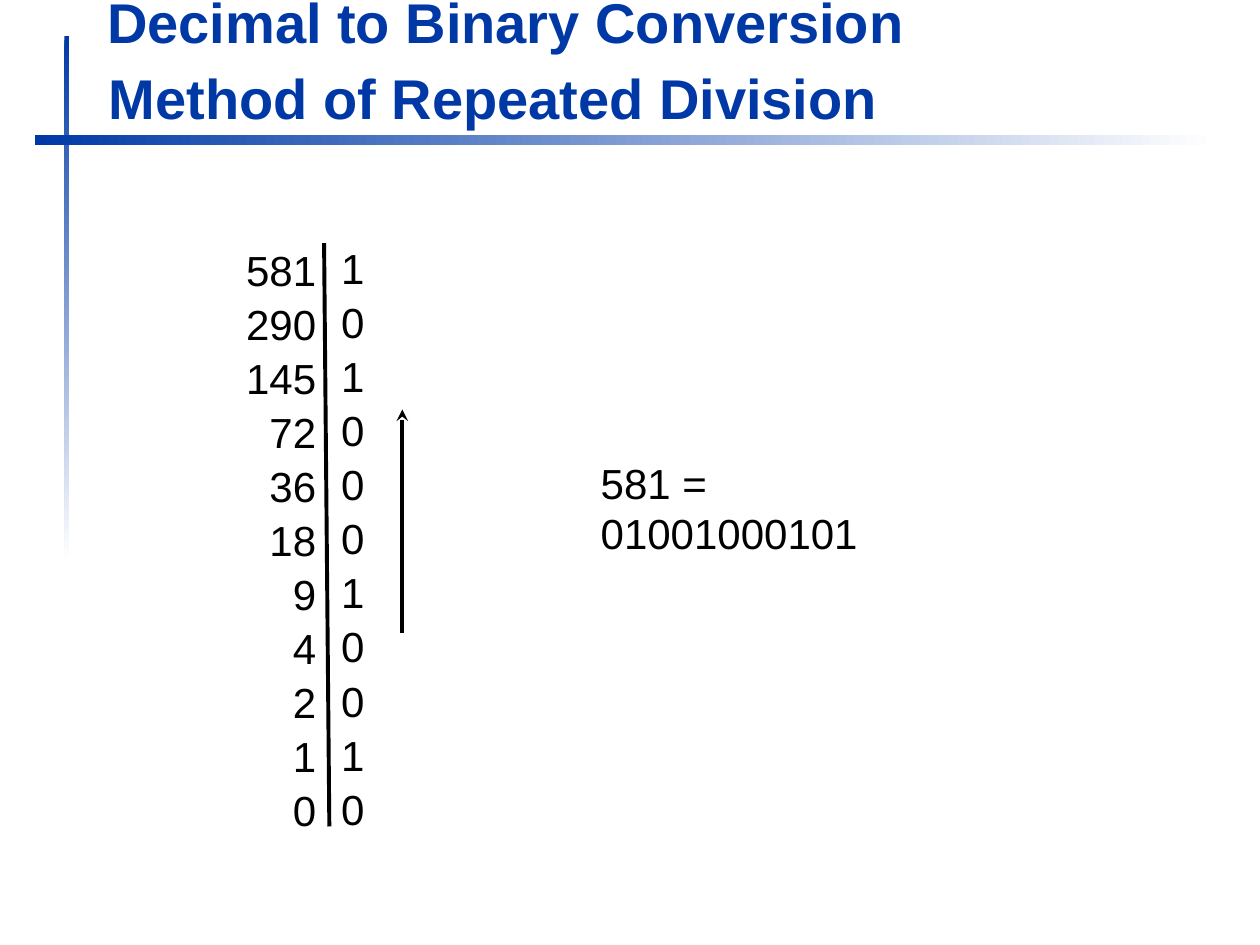
from pptx import Presentation
from pptx.dml.color import RGBColor
from pptx.enum.shapes import MSO_CONNECTOR as Conn, MSO_SHAPE as Kind
from pptx.enum.text import MSO_ANCHOR as Anchor, MSO_AUTO_SIZE as Fit, PP_ALIGN as Align
from pptx.oxml.ns import qn
from pptx.util import Pt
from lxml.etree import SubElement

BLUE = RGBColor(0x00, 0x39, 0xA6)
WHITE = RGBColor(0xFF, 0xFF, 0xFF)
BLACK = RGBColor(0x00, 0x00, 0x00)

PAD = 7.2      # side inset of a text box
DIGIT = 13.35  # width of one digit at 24 pt
TALL = 36      # height of a one-line box


def style(frame, text, size, color, bold=False, align=Align.LEFT):
    frame.text = text
    para = frame.paragraphs[0]
    para.alignment = align
    font = para.runs[0].font
    font.name, font.size, font.bold = "Arial", Pt(size), bold
    font.color.rgb = color


def add_text(slide, text, left, top, width, height=TALL, size=24, color=BLACK,
             bold=False, align=Align.LEFT, wrap=False):
    box = slide.shapes.add_textbox(Pt(left), Pt(top), Pt(width), Pt(height))
    frame = box.text_frame
    style(frame, text, size, color, bold, align)
    frame.word_wrap = wrap
    frame.auto_size = Fit.SHAPE_TO_FIT_TEXT
    return frame


def add_line(slide, x1, y1, x2, y2, arrow=False):
    line = slide.shapes.add_connector(Conn.STRAIGHT, Pt(x1), Pt(y1), Pt(x2), Pt(y2))
    line.line.color.rgb = BLACK
    line.line.width = Pt(2.25)
    if arrow:
        SubElement(line.line._get_or_add_ln(), qn("a:tailEnd"), type="stealth")
    SubElement(line._element.spPr, qn("a:effectLst"))


def add_bar(slide, left, top, width, height, angle):
    bar = slide.shapes.add_shape(Kind.RECTANGLE, Pt(left), Pt(top), Pt(width), Pt(height))
    bar.shadow.inherit = False
    bar.line.fill.background()
    bar.fill.gradient()
    bar.fill.gradient_angle = angle
    for stop, color in zip(bar.fill.gradient_stops, (BLUE, WHITE)):
        stop.color.rgb = color


def add_heading(slide, left, top, width):
    # Fading bars
    add_bar(slide, 36.8, 20.4, 2.6, 300, 270)
    add_bar(slide, 19.8, 77.2, 674.6, 5.6, 0)

    # Title, with room below it for the second line
    title = slide.shapes.title
    title.left, title.top, title.width, title.height = Pt(left), Pt(top), Pt(width), Pt(85)
    frame = title.text_frame
    style(frame, "Decimal to Binary Conversion", 32, BLUE, True)
    frame.vertical_anchor = Anchor.BOTTOM
    frame.margin_bottom = Pt(40.2)
    frame.auto_size = Fit.NONE

    # Second line
    frame = add_text(slide, "Method of Repeated Division", left + 1, top + 46, width, 46,
                     32, BLUE, True, wrap=True)
    frame.vertical_anchor = Anchor.BOTTOM


def add_ladder(slide, number, left, top, width, step):
    mid = left + width / 2
    # Quotients on the left, remainders on the right
    for row in range(number.bit_length() + 1):
        value = number >> row
        wide = 2 * PAD + DIGIT * len(str(value))
        y = top + row * step
        add_text(slide, str(value), mid - wide, y + 1, wide, align=Align.RIGHT)
        add_text(slide, str(value % 2), mid, y, 2 * PAD + DIGIT)

    # Divider and reading direction
    add_line(slide, mid - 2.6, top + 4, mid + 0.4, top + 337.3)
    add_line(slide, mid + 42.1, top + 227, mid + 42.1, top + 99, arrow=True)


def main():
    deck = Presentation()
    deck.slide_width, deck.slide_height = Pt(720), Pt(540)
    slide = deck.slides.add_slide(deck.slide_layouts[5])
    add_heading(slide, 54, -13.7, 650)
    add_ladder(slide, 581, 133.2, 135, 109.2, 30.9)
    add_text(slide, "581 = 01001000101", 336.2, 257.8, 228.2)
    deck.save("out.pptx")


if __name__ == "__main__":
    main()
